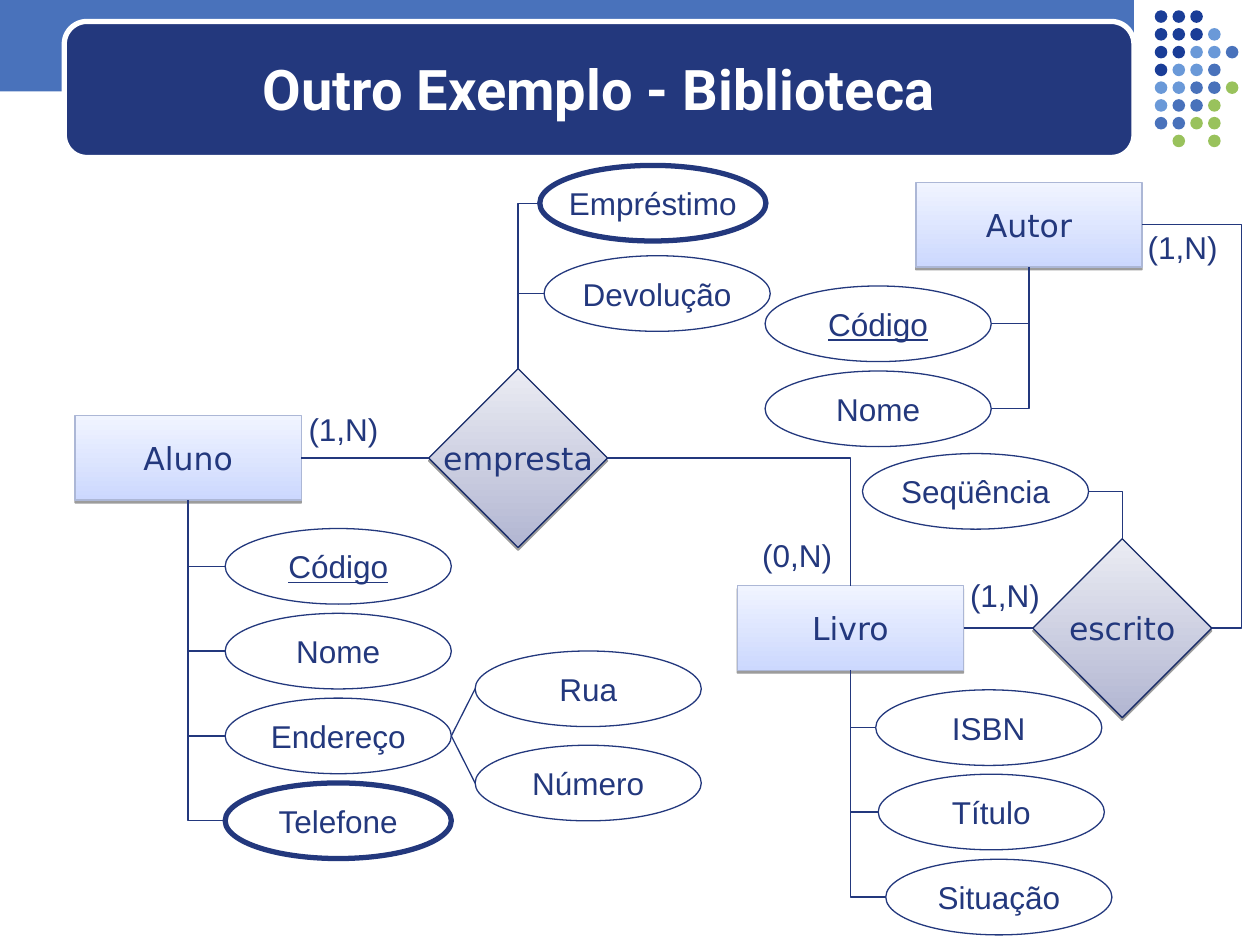
from lxml.etree import SubElement
from pptx import Presentation
from pptx.dml.color import RGBColor
from pptx.enum.shapes import MSO_CONNECTOR, MSO_SHAPE
from pptx.enum.text import MSO_ANCHOR, MSO_AUTO_SIZE, PP_ALIGN
from pptx.oxml.ns import qn
from pptx.util import Inches, Pt

COLORS = {
    "ink": "23387D", "white": "FFFFFF", "band": "4972BB",
    "n": "1A3D97", "l": "6A99D8", "b": "4972BB", "g": "99C25C",
    "entity_low": "CCD8FE", "entity_high": "F0F4FF", "entity_line": "ACB7D6",
    "relation_low": "B2B6D2", "relation_high": "EBECF3", "relation_line": "192C69",
}
WIDTH, HEIGHT = Inches(10), Inches(7.5)
COLS, ROWS = 100, 75
DOT_ROWS = ["nnn", "nnnl", "nnllb", "nllb", "llbbg", "lbbg", "bbgg", " g g"]
OVAL = (17.95, 6)
TOP, LEFT, BOTTOM, RIGHT = range(4)


def rgb(name):
    return RGBColor.from_string(COLORS[name])


def x(col):
    return round(WIDTH * col / COLS)


def y(row):
    return round(HEIGHT * row / ROWS)


def side(sp, where):
    middle, center = sp.left + sp.width // 2, sp.top + sp.height // 2
    return [(middle, sp.top), (sp.left, center),
            (middle, sp.top + sp.height), (sp.left + sp.width, center)][where]


def add_shape(s, kind, col, row, cols, rows, fill=None, line=None, weight=0.75):
    sp = s.shapes.add_shape(kind, x(col), y(row), x(cols), y(rows))
    sp.shadow.inherit = False
    if fill:
        sp.fill.solid()
        sp.fill.fore_color.rgb = rgb(fill)
    else:
        sp.fill.background()
    if line:
        sp.line.color.rgb = rgb(line)
        sp.line.width = Pt(weight)
    else:
        sp.line.fill.background()
    return sp


def write(sp, text, font="Arial", underline=None, align=PP_ALIGN.CENTER):
    tf = sp.text_frame
    tf.word_wrap = False
    tf.vertical_anchor = MSO_ANCHOR.MIDDLE
    p = tf.paragraphs[0]
    p.text = text
    p.alignment = align
    p.font.size = Pt(18)
    p.font.name = font
    p.font.underline = underline
    p.font.color.rgb = rgb("ink")


def add_block(s, kind, style, text, col, row, cols, rows):
    sp = add_shape(s, kind, col, row, cols, rows, line=style + "_line")
    sp.fill.gradient()
    sp.fill.gradient_angle = 90
    for stop, end in zip(sp.fill.gradient_stops, ("_low", "_high")):
        stop.color.rgb = rgb(style + end)
    effects = sp._element.spPr.find(qn("a:effectLst"))
    shadow = SubElement(effects, qn("a:outerShdw"), blurRad="0", dist=str(Pt(1.6)),
                        dir="5400000", rotWithShape="0")
    black = SubElement(shadow, qn("a:srgbClr"), val="000000")
    SubElement(black, qn("a:alpha"), val="38000")
    write(sp, text, "DejaVu Sans")
    return sp


def add_entity(s, text, col, row):
    return add_block(s, MSO_SHAPE.RECTANGLE, "entity", text, col, row, 17.95, 6.7)


def add_relation(s, text, col, row):
    return add_block(s, MSO_SHAPE.DIAMOND, "relation", text, col, row, 14.2, 14.2)


def add_attribute(s, text, col, row, key=None, weight=0.75):
    sp = add_shape(s, MSO_SHAPE.OVAL, col, row, *OVAL, line="ink", weight=weight)
    write(sp, text, underline=key)
    return sp


def add_cardinality(s, text, col, row):
    sp = s.shapes.add_textbox(x(col), y(row), x(7.8), y(4))
    write(sp, text, align=PP_ALIGN.LEFT)
    sp.text_frame.vertical_anchor = MSO_ANCHOR.TOP
    sp.text_frame.auto_size = MSO_AUTO_SIZE.SHAPE_TO_FIT_TEXT


def add_line(s, start, end, kind=MSO_CONNECTOR.STRAIGHT):
    c = s.shapes.add_connector(kind, *start, *end)
    c.line.color.rgb = rgb("ink")
    c.line.width = Pt(0.75)
    SubElement(c._element.spPr, qn("a:effectLst"))
    return c


def add_corner(s, start, end):
    c = add_line(s, start, end, MSO_CONNECTOR.ELBOW)
    c._element.spPr.find(qn("a:prstGeom")).set("prst", "bentConnector2")


def add_detour(s, start, end, turn):
    c = add_line(s, start, end, MSO_CONNECTOR.ELBOW)
    share = round((turn - start[0]) / (end[0] - start[0]) * 100000)
    guides = c._element.spPr.find(qn("a:prstGeom")).get_or_add_avLst()
    SubElement(guides, qn("a:gd"), name="adj1", fmla=f"val {share}")


def join(s, left, right):
    c = add_line(s, side(left, RIGHT), side(right, LEFT))
    c.begin_connect(left, RIGHT)
    c.end_connect(right, LEFT)


def add_attributes(s, owner, owner_side, oval_side, attributes):
    ovals = [add_attribute(s, *attribute) for attribute in attributes]
    for oval in ovals:
        add_corner(s, side(oval, oval_side), side(owner, owner_side))
    return ovals


def add_header(s):
    add_shape(s, MSO_SHAPE.RECTANGLE, 0, 0, 90, 7.25, "band")
    add_shape(s, MSO_SHAPE.ROUNDED_RECTANGLE, 5.1, 1.7, 84.9, 10.8, "ink", "white", 3)
    for i, dots in enumerate(DOT_ROWS):
        for j, color in enumerate(dots):
            if color != " ":
                add_shape(s, MSO_SHAPE.OVAL, 91.65 + 1.41 * j, 0.82 + 1.41 * i, 1, 1, color)


def add_title(s, text):
    sp = s.shapes.title
    s.shapes._spTree.append(sp._element)
    sp.left, sp.top, sp.width, sp.height = x(6), y(2.3), x(83.1), y(9.4)
    sp.text_frame.vertical_anchor = MSO_ANCHOR.MIDDLE
    p = sp.text_frame.paragraphs[0]
    p.text = text
    p.alignment = PP_ALIGN.CENTER
    p.font.name, p.font.size, p.font.bold = "Roboto", Pt(32), True
    p.font.color.rgb = rgb("white")


def main():
    prs = Presentation()
    prs.slide_width, prs.slide_height = WIDTH, HEIGHT
    s = prs.slides.add_slide(prs.slide_layouts[5])
    add_header(s)
    add_title(s, "Outro Exemplo - Biblioteca")

    aluno = add_entity(s, "Aluno", 5.96, 33)
    livro = add_entity(s, "Livro", 58.52, 46.5)
    autor = add_entity(s, "Autor", 72.69, 14.5)
    empresta = add_relation(s, "empresta", 34.02, 29.25)
    escrito = add_relation(s, "escrito", 81.97, 42.75)

    aluno_rows = [41.95 + 6.73 * i for i in range(4)]
    endereco = add_attributes(s, aluno, BOTTOM, LEFT, [
        ("Código", 17.87, aluno_rows[0], True), ("Nome", 17.87, aluno_rows[1]),
        ("Endereço", 17.87, aluno_rows[2]), ("Telefone", 17.87, aluno_rows[3], None, 3)])[2]
    for text, row in (("Rua", 51.67), ("Número", 59.15)):
        part = add_attribute(s, text, 37.71, row)
        add_line(s, side(endereco, RIGHT), side(part, LEFT))
    add_attributes(s, empresta, TOP, LEFT, [
        ("Empréstimo", 42.84, 13.13, None, 3), ("Devolução", 43.18, 20.3)])
    add_attributes(s, livro, BOTTOM, LEFT, [
        ("ISBN", 69.5, 54.75), ("Título", 69.7, 61.45), ("Situação", 70.3, 68.2)])
    add_attributes(s, autor, BOTTOM, RIGHT, [
        ("Código", 60.72, 22.7, True), ("Nome", 60.72, 29.45)])
    add_attributes(s, escrito, TOP, RIGHT, [("Seqüência", 68.45, 36)])

    join(s, aluno, empresta)
    join(s, livro, escrito)
    add_corner(s, side(empresta, RIGHT), side(livro, TOP))
    add_detour(s, side(escrito, RIGHT), side(autor, RIGHT), x(98.55))
    for text, col, row in (("(1,N)", 23.5, 32.05), ("(0,N)", 59.5, 42.05),
                           ("(1,N)", 76, 45.25), ("(1,N)", 90.1, 17.6)):
        add_cardinality(s, text, col, row)
    prs.save("out.pptx")


if __name__ == "__main__":
    main()
